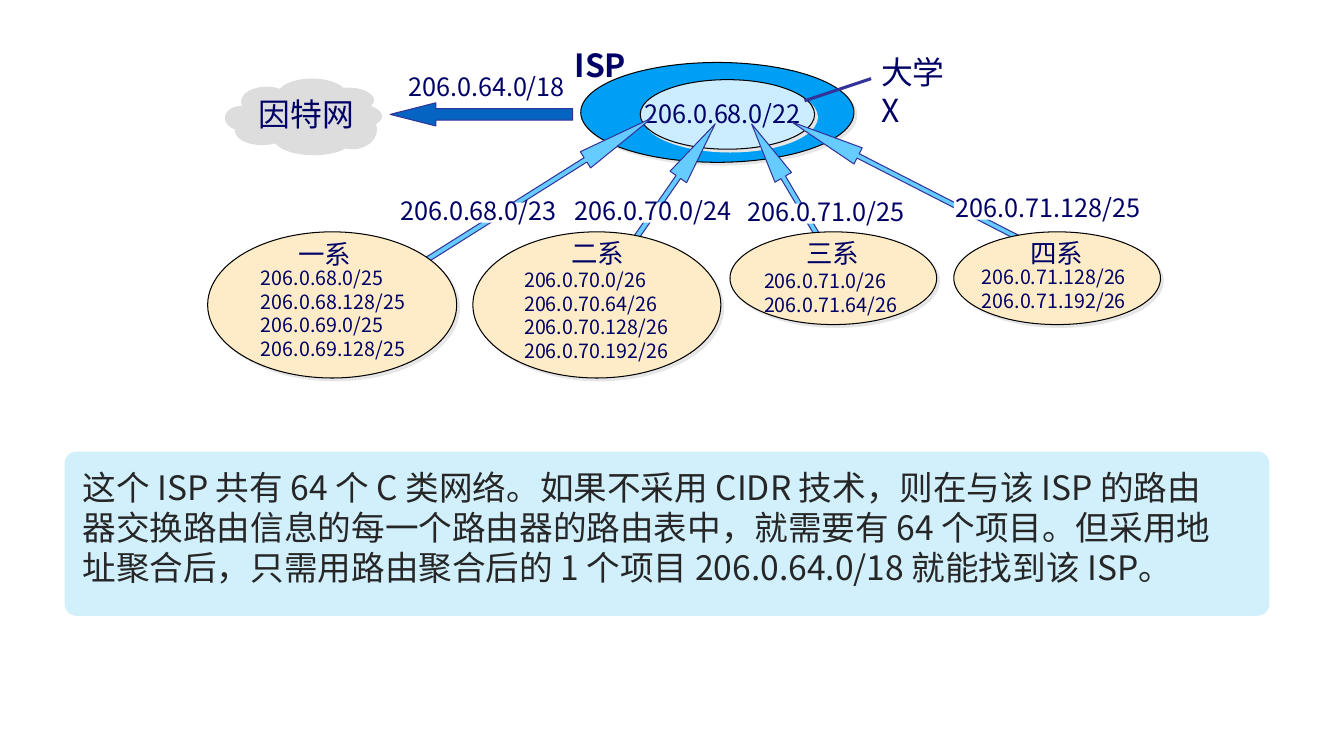
from dataclasses import dataclass
from typing import NamedTuple

from lxml.etree import SubElement
from pptx import Presentation
from pptx.dml.color import RGBColor
from pptx.enum.shapes import MSO_CONNECTOR, MSO_SHAPE
from pptx.enum.text import MSO_AUTO_SIZE
from pptx.oxml.ns import qn
from pptx.util import Emu, Inches, Pt

COLUMNS, ROWS = 133.3, 75
FONT = "Noto Sans CJK SC"
NAVY, OUTLINE, BLACK, WHITE = "000066", "333399", "000000", "FFFFFF"
GREY, SHADOW, CREAM, SKY = "DDDDDD", "E7E6E6", "FDECC7", "66CCFF"

prs = Presentation()
prs.slide_width, prs.slide_height = Inches(13.33), Inches(7.5)
slide = prs.slides.add_slide(prs.slide_layouts[6])


class Box(NamedTuple):
    left: float
    top: float
    width: float
    height: float


@dataclass
class Department:
    name: str
    title: Box
    oval: Box
    subnets: list[str]
    listing: Box
    prefix: str
    label: Box
    arrow: Box
    angle: float
    head: float


DEPARTMENTS = [
    Department("四系", Box(101.2, 23, 7.3, 4.2), Box(94.6, 23, 20.5, 9.2),
               ["206.0.71.128/26", "206.0.71.192/26"], Box(96.4, 25.8, 16.9, 5.7),
               "206.0.71.128/25", Box(93.8, 18.6, 21.1, 4),
               Box(77.1, 17.1, 25.9, 1.8), 27.1, 4.11),
    Department("一系", Box(28.6, 23.1, 7.3, 4.2), Box(20.6, 23, 24.7, 14.5),
               ["206.0.68.0/25", "206.0.68.128/25", "206.0.69.0/25", "206.0.69.128/25"],
               Box(24.9, 25.9, 16.9, 10.4),
               "206.0.68.0/23", Box(38.7, 18.9, 18.2, 4),
               Box(39.2, 18.1, 27.6, 1.9), 147.8, 4.11),
    Department("二系", Box(55.7, 23, 7.3, 4.2), Box(46.9, 23, 24.6, 14.5),
               ["206.0.70.0/26", "206.0.70.64/26", "206.0.70.128/26", "206.0.70.192/26"],
               Box(51, 26.1, 16.9, 10.4),
               "206.0.70.0/24", Box(56, 18.9, 18.2, 4),
               Box(53.5, 20.4, 22.2, 2), 124.8, 3.21),
    Department("三系", Box(79, 23, 7.3, 4.2), Box(72.4, 23, 20.5, 9.2),
               ["206.0.71.0/26", "206.0.71.64/26"], Box(74.8, 26.2, 15.7, 5.7),
               "206.0.71.0/25", Box(73.2, 19, 18.2, 4),
               Box(69.1, 20.9, 22.2, 1.9), 59.4, 3.24),
]

CLOUD_PUFFS = [
    Box(27.7, 7.9, 6.7, 3), Box(24, 8.7, 5.1, 3), Box(22.4, 10.6, 3.4, 2.4),
    Box(23.4, 11.8, 5.2, 2.6), Box(27.2, 12.2, 7.8, 3.2), Box(32.2, 8.8, 4.9, 2.3),
    Box(33, 10.4, 4.9, 2.3), Box(32.5, 10.9, 4.9, 3.9), Box(25.2, 9.7, 10.1, 3.9),
]

SUMMARY = ("这个 ISP 共有 64 个 C 类网络。如果不采用 CIDR 技术，则在与该 ISP 的路由器交换路由信息的"
           "每一个路由器的路由表中，就需要有 64 个项目。但采用地址聚合后，只需用路由聚合后的 1 个项目 "
           "206.0.64.0/18 就能找到该 ISP。")


def rgb(color: str) -> RGBColor:
    return RGBColor.from_string(color)


def x(columns: float) -> Emu:
    return Emu(round(prs.slide_width * columns / COLUMNS))


def y(rows: float) -> Emu:
    return Emu(round(prs.slide_height * rows / ROWS))


def place(box: Box) -> tuple[Emu, Emu, Emu, Emu]:
    return x(box.left), y(box.top), x(box.width), y(box.height)


def add_shape(kind: MSO_SHAPE, box: Box, fill: str, line: str = "",
              adjustments: tuple[float, ...] = (), angle: float = 0):
    sp = slide.shapes.add_shape(kind, *place(box))
    sp.fill.solid()
    sp.fill.fore_color.rgb = rgb(fill)
    if line:
        sp.line.color.rgb = rgb(line)
        sp.line.width = Pt(0.75)
    else:
        sp.line.fill.background()
    sp.shadow.inherit = False
    for i, value in enumerate(adjustments):
        sp.adjustments[i] = value
    sp.rotation = angle
    return sp


def add_shadowed_oval(box: Box, fill: str) -> None:
    sp = add_shape(MSO_SHAPE.OVAL, box, fill, BLACK)
    effects = sp._element.spPr.find(qn("a:effectLst"))
    shadow = SubElement(effects, qn("a:outerShdw"), dist=str(Pt(2.8)), dir="2700000",
                        algn="ctr", rotWithShape="0")
    SubElement(shadow, qn("a:srgbClr"), val=SHADOW)


def add_text(box: Box, lines: list[str], size: float, color: str = NAVY,
             bold: bool = False, wrap: bool = False) -> None:
    tf = slide.shapes.add_textbox(*place(box)).text_frame
    tf.word_wrap = wrap
    tf.auto_size = MSO_AUTO_SIZE.SHAPE_TO_FIT_TEXT
    for i, line in enumerate(lines):
        p = tf.add_paragraph() if i else tf.paragraphs[0]
        r = p.add_run()
        r.text = line
        p.font.size, p.font.bold, p.font.name = Pt(size), bold, FONT
        p.font.color.rgb = rgb(color)
        for props in (p.font._element, r.font._element):
            SubElement(props, qn("a:ea"), typeface=FONT)


def add_department(dept: Department) -> None:
    add_shape(MSO_SHAPE.LEFT_ARROW, dept.arrow, SKY, OUTLINE, (0.271, dept.head), dept.angle)
    label = dept.label
    add_shape(MSO_SHAPE.RECTANGLE,
              Box(label.left + 0.8, label.top + 1.2, label.width - 4.4, 2), WHITE)
    add_text(label, [dept.prefix], 18)
    add_shadowed_oval(dept.oval, CREAM)
    add_text(dept.listing, dept.subnets, 14)
    add_text(dept.title, [dept.name], 18.9)


def add_pointer(start: tuple[float, float], end: tuple[float, float]) -> None:
    line = slide.shapes.add_connector(MSO_CONNECTOR.STRAIGHT, x(start[0]), y(start[1]),
                                      x(end[0]), y(end[1]))
    line.line.color.rgb = rgb(OUTLINE)
    line.line.width = Pt(2.25)
    SubElement(line._element.spPr, qn("a:effectLst"))


def main() -> None:
    """Draw the address aggregation diagram and its summary."""
    add_text(Box(39.5, 6.6, 18.2, 4), ["206.0.64.0/18"], 18)
    panel = add_shape(MSO_SHAPE.ROUNDED_RECTANGLE, Box(6.4, 44.8, 119.5, 16.3), "00B0F0",
                      adjustments=(0.073,))
    panel_color = panel._element.spPr.find(qn("a:solidFill")).find(qn("a:srgbClr"))
    SubElement(panel_color, qn("a:alpha"), val="18000")
    add_text(Box(7.2, 45.8, 115.9, 13.4), [SUMMARY], 24, "262626", wrap=True)

    for shift in (0, -0.1):
        for puff in CLOUD_PUFFS:
            add_shape(MSO_SHAPE.OVAL,
                      puff._replace(left=puff.left + shift, top=puff.top + shift), GREY)
    add_text(Box(24.7, 8.9, 11.5, 4.8), ["因特网"], 22.7)

    add_shadowed_oval(Box(57.6, 6.2, 27.1, 9.9), "009FF6")
    add_shadowed_oval(Box(63.5, 7.9, 17.3, 6.9), "CCECFF")
    add_text(Box(62.9, 9.3, 18.2, 4), ["206.0.68.0/22"], 18)
    add_shape(MSO_SHAPE.LEFT_ARROW, Box(38.7, 10.2, 18.1, 2.3), "0563C1", OUTLINE, (0.5, 1.97))
    add_text(Box(56, 4, 7.2, 4.8), ["ISP"], 22.7, bold=True)
    add_text(Box(86.4, 4.7, 10, 4.8), ["大学 X"], 22.7, wrap=True)
    add_pointer((79.8, 10), (86.4, 7.8))
    for dept in DEPARTMENTS:
        add_department(dept)
    prs.save("out.pptx")


if __name__ == "__main__":
    main()
